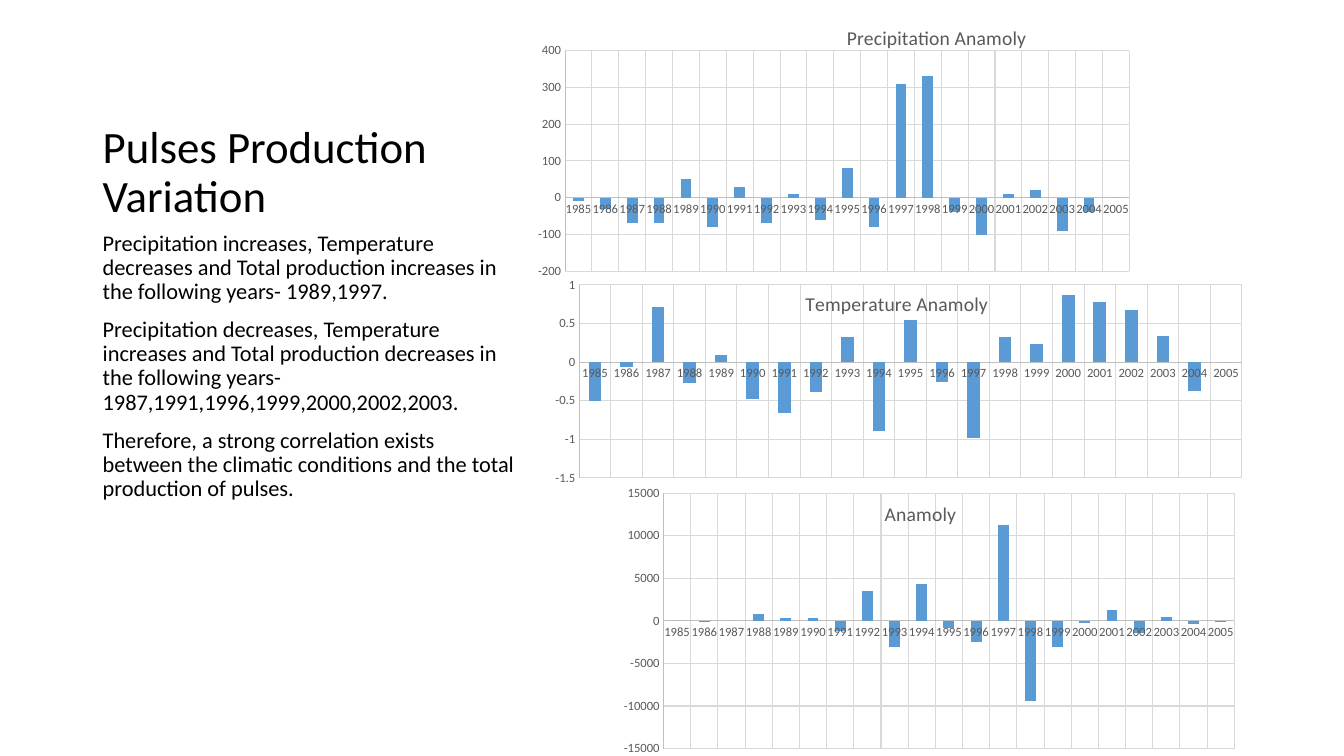
"""Build the slide on pulses production variation with three anomaly charts."""
from lxml import etree
from pptx import Presentation
from pptx.chart.data import CategoryChartData
from pptx.dml.color import RGBColor
from pptx.enum.chart import XL_CHART_TYPE, XL_TICK_MARK
from pptx.enum.text import MSO_ANCHOR
from pptx.oxml import parse_xml
from pptx.oxml.ns import nsdecls, qn
from pptx.util import Inches, Pt

COLUMNS = XL_CHART_TYPE.COLUMN_CLUSTERED
NO_TICK = XL_TICK_MARK.NONE
TOP, BOTTOM = MSO_ANCHOR.TOP, MSO_ANCHOR.BOTTOM
BLACK = RGBColor(0x00, 0x00, 0x00)
GRAY = RGBColor(0x59, 0x59, 0x59)
AXIS_GRAY = RGBColor(0xBF, 0xBF, 0xBF)
GRID_GRAY = RGBColor(0xD9, 0xD9, 0xD9)
BLUE = RGBColor(0x5B, 0x9B, 0xD5)
YEARS = [str(year) for year in range(1985, 2006)]

TEXTS = [
    (0.5, 1.75, BOTTOM, 32, 0, ["Pulses Production Variation"]),
    (2.25, 4.17, TOP, 16, 10, [
        "Precipitation increases, Temperature decreases and Total production "
        "increases in the following years- 1989,1997.",
        "Precipitation decreases, Temperature increases and Total production "
        "decreases in the following years- 1987,1991,1996,1999,2000,2002,2003.",
        "Therefore, a strong correlation exists between the climatic conditions "
        "and the total production of pulses.",
    ]),
]
ANOMALIES = [
    ("Precipitation Anamoly", (5.24, 0, 8.1, 7.5), (0.045, 0.067, 0.691, 0.292),
     (-200, 400, 100),
     [-10, -30, -70, -70, 50, -80, 30, -70, 10, -60, 80, -80, 310, 330, -40,
      -100, 10, 20, -90, -40, 0]),
    ("Temperature Anamoly", (5.41, 2.75, 6.97, 2.07), (0.048, 0.037, 0.943, 0.925),
     (-1.5, 1, 0.5),
     [-0.51, -0.06, 0.71, -0.27, 0.09, -0.48, -0.66, -0.39, 0.32, -0.89, 0.55,
      -0.26, -0.99, 0.32, 0.24, 0.87, 0.78, 0.67, 0.34, -0.37, 0]),
    ("Anamoly", (5.96, 4.82, 6.34, 2.68), (0.098, 0.025, 0.893, 0.949),
     (-15000, 15000, 5000),
     [0, -100, 0, 800, 300, 300, -1200, 3500, -3100, 4300, -800, -2500, 11300,
      -9400, -3100, -300, 1300, -1400, 500, -400, -100]),
]


def style_font(font, size, color):
    font.name, font.size = "Calibri", Pt(size)
    font.color.rgb = color


def place_plot(chart, plot_box):
    plot_area = chart.plots[0]._element.getparent()
    for old_layout in plot_area.findall(qn("c:layout")):
        plot_area.remove(old_layout)
    layout = parse_xml(f"<c:layout {nsdecls('c')}><c:manualLayout/></c:layout>")
    settings = {"layoutTarget": "inner", "xMode": "edge", "yMode": "edge",
                **dict(zip("xywh", plot_box))}
    for tag, value in settings.items():
        etree.SubElement(layout[0], qn(f"c:{tag}"), val=str(value))
    plot_area.insert(0, layout)


prs = Presentation()
prs.slide_width, prs.slide_height = Inches(13.33), Inches(7.5)
slide = prs.slides.add_slide(prs.slide_layouts[6])

for top, height, anchor, size, space, paragraphs in TEXTS:
    frame = slide.shapes.add_textbox(
        Inches(0.92), Inches(top), Inches(4.3), Inches(height)).text_frame
    frame.word_wrap = True
    frame.vertical_anchor = anchor
    frame.text = "\n".join(paragraphs)
    for paragraph in frame.paragraphs:
        paragraph.line_spacing = 0.9
        paragraph.space_before = Pt(space)
        style_font(paragraph.runs[0].font, size, BLACK)

for title, box, plot_box, (low, high, step), values in ANOMALIES:
    data = CategoryChartData()
    data.categories = YEARS
    data.add_series(title, values)
    chart = slide.shapes.add_chart(COLUMNS, *map(Inches, box), data).chart
    style_font(chart.font, 10, BLACK)
    chart.has_legend = False
    chart.has_title = True
    chart.chart_title.text_frame.text = title
    heading = chart.chart_title.text_frame.paragraphs[0].runs[0].font
    style_font(heading, 14, GRAY)
    heading.bold = False

    columns = chart.plots[0]
    columns.gap_width = 150
    columns.vary_by_categories = False
    series = columns.series[0]
    series.invert_if_negative = False
    series.format.fill.solid()
    series.format.fill.fore_color.rgb = BLUE

    for axis in (chart.category_axis, chart.value_axis):
        axis.has_major_gridlines = True
        axis.major_tick_mark = axis.minor_tick_mark = NO_TICK
        style_font(axis.tick_labels.font, 9, GRAY)
        axis._element.find(qn("c:txPr")).find(qn("a:bodyPr")).set("rot", "-60000000")
        for line, color in ((axis.format.line, AXIS_GRAY),
                            (axis.major_gridlines.format.line, GRID_GRAY)):
            line.color.rgb = color
            line.width = Pt(0.75)
    value_axis = chart.value_axis
    value_axis.minimum_scale, value_axis.maximum_scale = low, high
    value_axis.major_unit = step
    place_plot(chart, plot_box)

prs.save("out.pptx")
